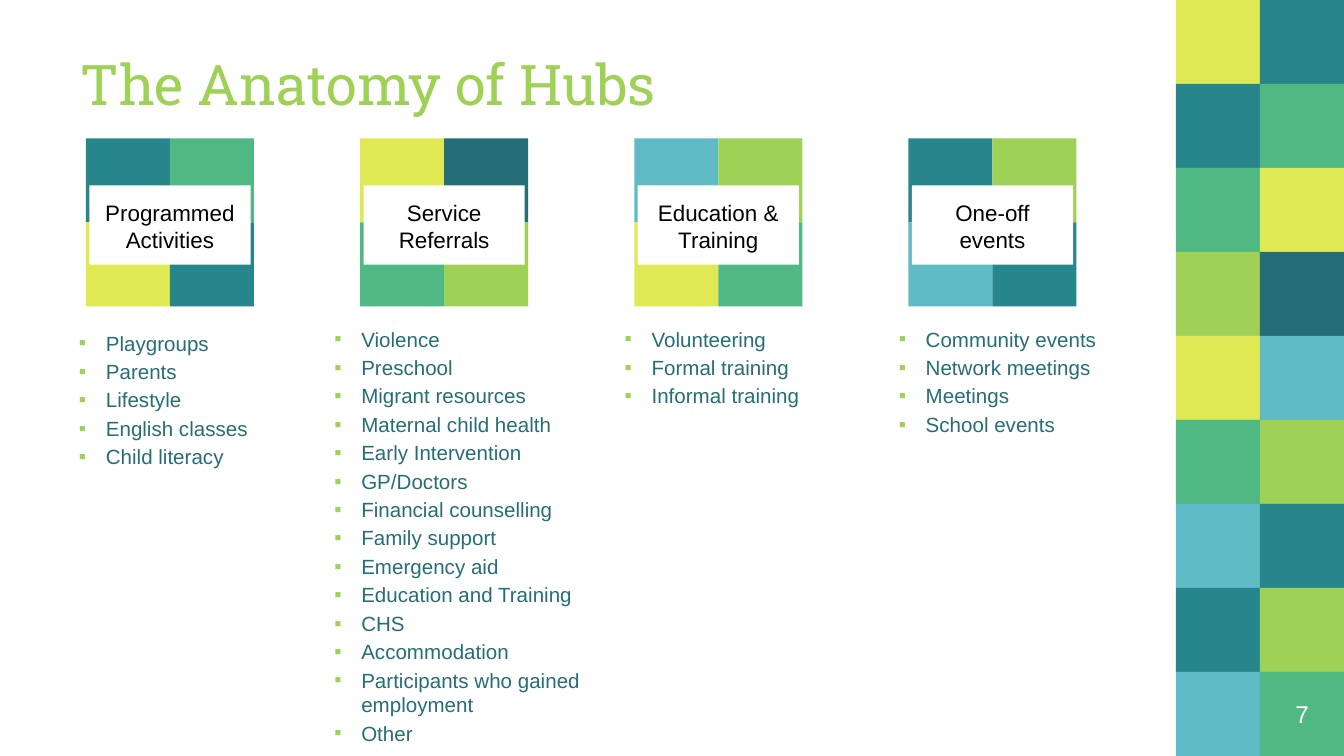
"""Build the "Anatomy of Hubs" slide: four tiled headings with bullet lists and a mosaic sidebar."""
from dataclasses import dataclass

from lxml.etree import SubElement
from pptx import Presentation
from pptx.dml.color import RGBColor
from pptx.enum.shapes import MSO_SHAPE
from pptx.enum.text import MSO_ANCHOR, PP_ALIGN
from pptx.oxml.ns import qn
from pptx.util import Inches, Pt


@dataclass(frozen=True)
class Theme:
    lime: str = "9ED155"
    yellow: str = "DFE954"
    green: str = "50B883"
    teal: str = "27868B"
    sky: str = "5FBBC5"
    navy: str = "266D78"
    white: str = "FFFFFF"
    black: str = "000000"
    heading_font: str = "Roboto Slab"
    body_font: str = "Arial"
    title_size: int = 30
    number_size: int = 13
    label_size: int = 12
    list_size: int = 11


THEME = Theme()

TITLE = "The Anatomy of Hubs"
PAGE_NUMBER = "7"
SIDEBAR = [
    ("yellow", "teal"),
    ("teal", "green"),
    ("green", "yellow"),
    ("lime", "navy"),
    ("yellow", "sky"),
    ("green", "lime"),
    ("sky", "teal"),
    ("teal", "lime"),
    ("sky", "green"),
]
HUBS = [
    {
        "label": "Programmed Activities",
        "tiles": [("teal", "green"), ("yellow", "teal")],
        "list_box": (0.31, 2.36, 1.96, 2.11),
        "indent": 0.38,
        "activities": ["Playgroups", "Parents", "Lifestyle", "English classes", "Child literacy"],
    },
    {
        "label": "Service Referrals",
        "tiles": [("yellow", "navy"), ("green", "lime")],
        "list_box": (2.25, 2.33, 2.24, 3.25),
        "indent": 0.34,
        "activities": [
            "Violence", "Preschool", "Migrant resources", "Maternal child health",
            "Early Intervention", "GP/Doctors", "Financial counselling", "Family support",
            "Emergency aid", "Education and Training", "CHS", "Accommodation",
            "Participants who gained employment", "Other",
        ],
    },
    {
        "label": "Education & Training",
        "tiles": [("sky", "lime"), ("yellow", "green")],
        "list_box": (4.37, 2.33, 1.96, 2.11),
        "indent": 0.38,
        "activities": ["Volunteering", "Formal training", "Informal training"],
    },
    {
        "label": "One-off events",
        "tiles": [("teal", "lime"), ("sky", "teal")],
        "list_box": (6.41, 2.33, 1.96, 2.11),
        "indent": 0.38,
        "activities": ["Community events", "Network meetings", "Meetings", "School events"],
    },
]

SLIDE_WIDTH = 10
TILE = SLIDE_WIDTH / 16
SLIDE_HEIGHT = TILE * len(SIDEBAR)
SIDEBAR_LEFT = SLIDE_WIDTH - 2 * TILE
HUB_LEFT, HUB_TOP, HUB_PITCH = 0.64, 1.03, 2.04
LABEL_WIDTH, LABEL_HEIGHT, LABEL_TOP = 1.2, 0.59, 1.38
HANGING = 0.2


def inches(*lengths):
    return [Inches(length) for length in lengths]


def add_block(slide, box, color):
    block = slide.shapes.add_shape(MSO_SHAPE.RECTANGLE, *inches(*box))
    block.shadow.inherit = False
    block.fill.solid()
    block.fill.fore_color.rgb = RGBColor.from_string(color)
    block.line.fill.background()
    return block


def add_mosaic(slide, left, top, rows):
    for row, colors in enumerate(rows):
        for column, color in enumerate(colors):
            box = (left + column * TILE, top + row * TILE, TILE, TILE)
            add_block(slide, box, getattr(THEME, color))


def prepare_frame(shape, anchor=MSO_ANCHOR.TOP):
    frame = shape.text_frame
    frame.word_wrap = True
    frame.vertical_anchor = anchor
    frame.margin_left = frame.margin_right = Inches(0.1)
    frame.margin_top = frame.margin_bottom = Inches(0.1)
    return frame


def write(paragraph, text, size, color, font=THEME.body_font, align=PP_ALIGN.LEFT):
    paragraph.text = text
    paragraph.alignment = align
    paragraph.font.name = font
    paragraph.font.size = Pt(size)
    paragraph.font.color.rgb = RGBColor.from_string(color)


def add_bullet(paragraph, indent):
    properties = paragraph._p.get_or_add_pPr()
    properties.set("marL", str(Inches(indent)))
    properties.set("indent", str(-Inches(HANGING)))
    bullet_color = SubElement(properties, qn("a:buClr"))
    SubElement(bullet_color, qn("a:srgbClr"), val=THEME.lime)
    SubElement(properties, qn("a:buFont"), typeface=THEME.body_font)
    SubElement(properties, qn("a:buChar"), char="▪")


def add_list(slide, box, indent, activities):
    frame = prepare_frame(slide.shapes.add_textbox(*inches(*box)))
    for index, activity in enumerate(activities):
        paragraph = frame.add_paragraph() if index else frame.paragraphs[0]
        paragraph.space_before = Pt(2 if index else 0)
        paragraph.space_after = Pt(0)
        add_bullet(paragraph, indent)
        write(paragraph, activity, THEME.list_size, THEME.navy)


def add_hub(slide, left, hub):
    add_mosaic(slide, left, HUB_TOP, hub["tiles"])
    label_left = left + TILE - LABEL_WIDTH / 2
    label = add_block(slide, (label_left, LABEL_TOP, LABEL_WIDTH, LABEL_HEIGHT), THEME.white)
    write(prepare_frame(label).paragraphs[0], hub["label"], THEME.label_size, THEME.black,
          align=PP_ALIGN.CENTER)
    add_list(slide, hub["list_box"], hub["indent"], hub["activities"])


def add_title(slide):
    title = slide.shapes.title
    title.left, title.top, title.width, title.height = inches(0.5, 0.03, 7.01, 0.94)
    frame = prepare_frame(title, MSO_ANCHOR.BOTTOM)
    write(frame.paragraphs[0], TITLE, THEME.title_size, THEME.lime, THEME.heading_font)


def add_page_number(slide):
    box = (SLIDE_WIDTH - TILE, SLIDE_HEIGHT - TILE, TILE, TILE)
    number = slide.shapes.add_textbox(*inches(*box))
    frame = prepare_frame(number, MSO_ANCHOR.MIDDLE)
    write(frame.paragraphs[0], PAGE_NUMBER, THEME.number_size, THEME.white,
          align=PP_ALIGN.CENTER)


def main():
    deck = Presentation()
    deck.slide_width, deck.slide_height = inches(SLIDE_WIDTH, SLIDE_HEIGHT)
    slide = deck.slides.add_slide(deck.slide_layouts[5])
    add_mosaic(slide, SIDEBAR_LEFT, 0, SIDEBAR)
    add_title(slide)
    add_page_number(slide)
    for column, hub in enumerate(HUBS):
        add_hub(slide, HUB_LEFT + column * HUB_PITCH, hub)
    deck.save("out.pptx")


if __name__ == "__main__":
    main()
